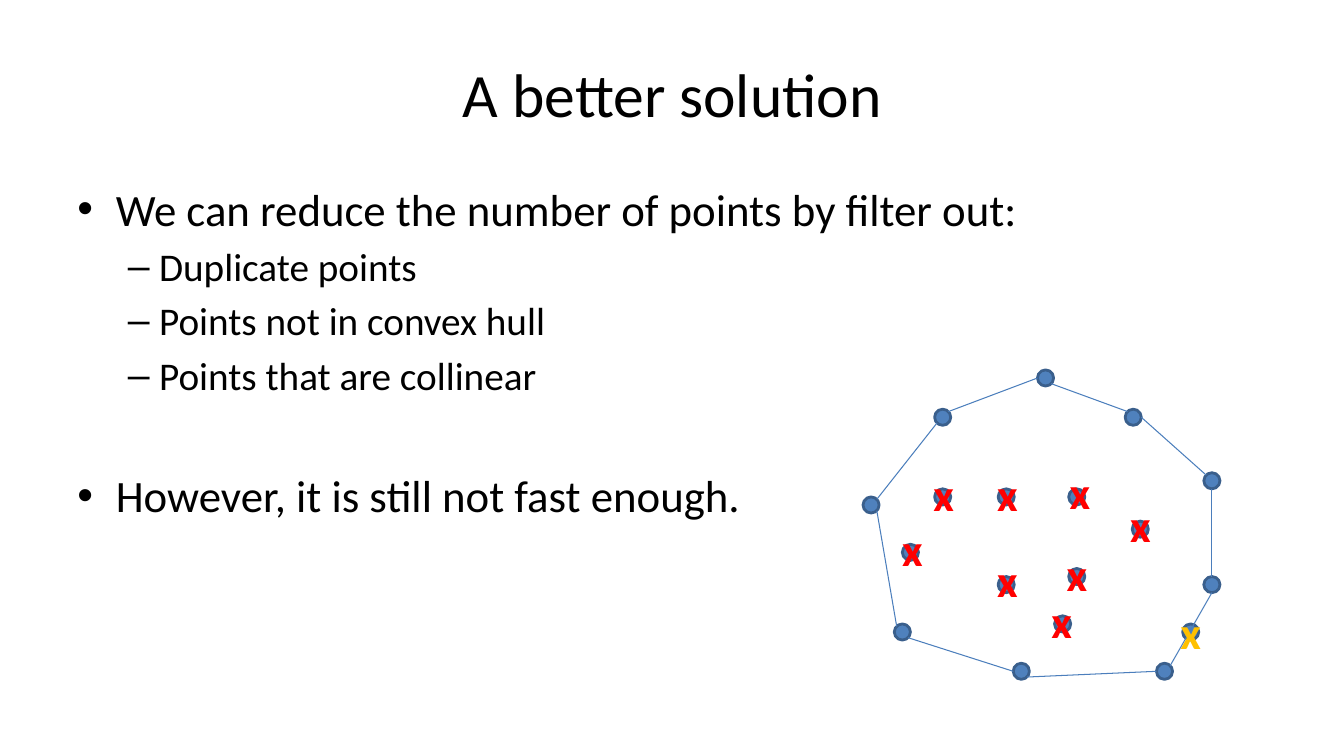
import math

import pptx
import pptx.dml.color
import pptx.enum.shapes
import pptx.enum.text
import pptx.util
from lxml import etree
from pptx.util import Inches

COLORS = {
    "text": "000000",
    "dot": "4F81BD",
    "dot_outline": "3A5F8C",
    "edge": "4B7EBC",
    "interior": "FF0000",
    "collinear": "FFC000",
}
FONT = "Calibri"
DOT_SIZE = 0.16
SITE_ANGLES = {
    "right": 0, "bottom right": 45, "bottom": 90, "bottom left": 135,
    "left": 180, "top left": 225, "top": 270, "top right": 315,
}

HULL = {
    "top": (10.29, 3.67),
    "upper right": (11.16, 4.06),
    "right": (11.94, 4.69),
    "lower right": (11.94, 5.72),
    "bottom right": (11.47, 6.58),
    "bottom left": (10.05, 6.58),
    "lower left": (8.87, 6.19),
    "left": (8.56, 4.93),
    "upper left": (9.27, 4.06),
}
EDGES = [
    ("upper left", "top right", "top", "left"),
    ("upper left", "bottom left", "left", "top right"),
    ("left", "bottom right", "lower left", "top left"),
    ("lower left", "bottom right", "bottom left", "left"),
    ("bottom left", "bottom right", "bottom right", "left"),
    ("bottom right", "top right", "lower right", "bottom"),
    ("lower right", "top", "right", "bottom"),
    ("top", "bottom right", "upper right", "top left"),
    ("upper right", "right", "right", "top left"),
]
FILTERED = [
    ((8.95, 5.4), (8.85, 5.13), "interior"),
    ((9.27, 4.85), (9.16, 4.58), "interior"),
    ((9.9, 5.72), (9.79, 5.43), "interior"),
    ((9.9, 4.85), (9.79, 4.58), "interior"),
    ((10.6, 4.85), (10.51, 4.56), "interior"),
    ((10.46, 6.11), (10.33, 5.84), "interior"),
    ((10.6, 5.64), (10.48, 5.37), "interior"),
    ((11.23, 5.17), (11.11, 4.89), "interior"),
    ((11.73, 6.19), (11.61, 5.95), "collinear"),
]
BULLETS = [
    (0, "We can reduce the number of points by filter out:", 0),
    (1, "Duplicate points", 5.2),
    (1, "Points not in convex hull", 5.2),
    (1, "Points that are collinear", 5.2),
    (0, "However, it is still not fast enough.", 50),
]
LEVELS = [("•", 0.38, 0.38, 32), ("–", 0.81, 0.31, 28)]


def rgb(name):
    return pptx.dml.color.RGBColor.from_string(COLORS[name])


def add_text_box(slide, left, top, width, height, wrap=True):
    frame = slide.shapes.add_textbox(
        Inches(left), Inches(top), Inches(width), Inches(height)).text_frame
    frame.word_wrap = wrap
    return frame


def add_run(paragraph, text, size, color="text", bold=False):
    run = paragraph.add_run()
    run.text = text
    run.font.name = FONT
    run.font.size = pptx.util.Pt(size)
    run.font.bold = bold
    run.font.color.rgb = rgb(color)


def add_title(slide, text):
    frame = add_text_box(slide, 0.67, 0.3, 12, 1.25)
    frame.vertical_anchor = pptx.enum.text.MSO_ANCHOR.MIDDLE
    heading = frame.paragraphs[0]
    heading.alignment = pptx.enum.text.PP_ALIGN.CENTER
    add_run(heading, text, 44)


def set_bullet(paragraph, mark, indent, hanging):
    properties = paragraph._p.get_or_add_pPr()
    properties.set("marL", str(Inches(indent)))
    properties.set("indent", str(-Inches(hanging)))
    namespace = properties.nsmap["a"]
    etree.SubElement(properties, f"{{{namespace}}}buFont", typeface="Arial")
    etree.SubElement(properties, f"{{{namespace}}}buChar", char=mark)


def add_bullets(slide):
    frame = add_text_box(slide, 0.67, 1.75, 12, 4.95)
    for index, (level, text, space_before) in enumerate(BULLETS):
        paragraph = frame.add_paragraph() if index else frame.paragraphs[0]
        mark, indent, hanging, size = LEVELS[level]
        paragraph.level = level
        set_bullet(paragraph, mark, indent, hanging)
        paragraph.space_before = pptx.util.Pt(space_before)
        add_run(paragraph, text, size)


def add_dot(slide, left, top):
    dot = slide.shapes.add_shape(
        pptx.enum.shapes.MSO_SHAPE.OVAL,
        Inches(left), Inches(top), Inches(DOT_SIZE), Inches(DOT_SIZE))
    dot.shadow.inherit = False
    dot.fill.solid()
    dot.fill.fore_color.rgb = rgb("dot")
    dot.line.color.rgb = rgb("dot_outline")
    dot.line.width = pptx.util.Pt(2)


def rim_point(vertex, site):
    left, top = HULL[vertex]
    angle = math.radians(SITE_ANGLES[site])
    radius = DOT_SIZE / 2
    return (Inches(left + radius * (1 + math.cos(angle))),
            Inches(top + radius * (1 + math.sin(angle))))


def add_edge(slide, start, start_site, end, end_site):
    edge = slide.shapes.add_connector(
        pptx.enum.shapes.MSO_CONNECTOR.STRAIGHT,
        *rim_point(start, start_site), *rim_point(end, end_site))
    edge.line.color.rgb = rgb("edge")
    edge.line.width = pptx.util.Pt(0.75)
    properties = edge._element.spPr
    etree.SubElement(properties, f"{{{properties.nsmap['a']}}}effectLst")


def add_cross(slide, left, top, color):
    frame = add_text_box(slide, left, top, 0.41, 0.64, wrap=False)
    frame.auto_size = pptx.enum.text.MSO_AUTO_SIZE.SHAPE_TO_FIT_TEXT
    add_run(frame.paragraphs[0], "x", 32, color, bold=True)


def main():
    deck = pptx.Presentation()
    deck.slide_width = Inches(13.33)
    deck.slide_height = Inches(7.5)
    slide = deck.slides.add_slide(deck.slide_layouts[6])
    add_title(slide, "A better solution")
    add_bullets(slide)
    for position in HULL.values():
        add_dot(slide, *position)
    for position, _, _ in FILTERED:
        add_dot(slide, *position)
    for edge in EDGES:
        add_edge(slide, *edge)
    for _, position, color in FILTERED:
        add_cross(slide, *position, color)
    deck.save("out.pptx")


if __name__ == "__main__":
    main()
